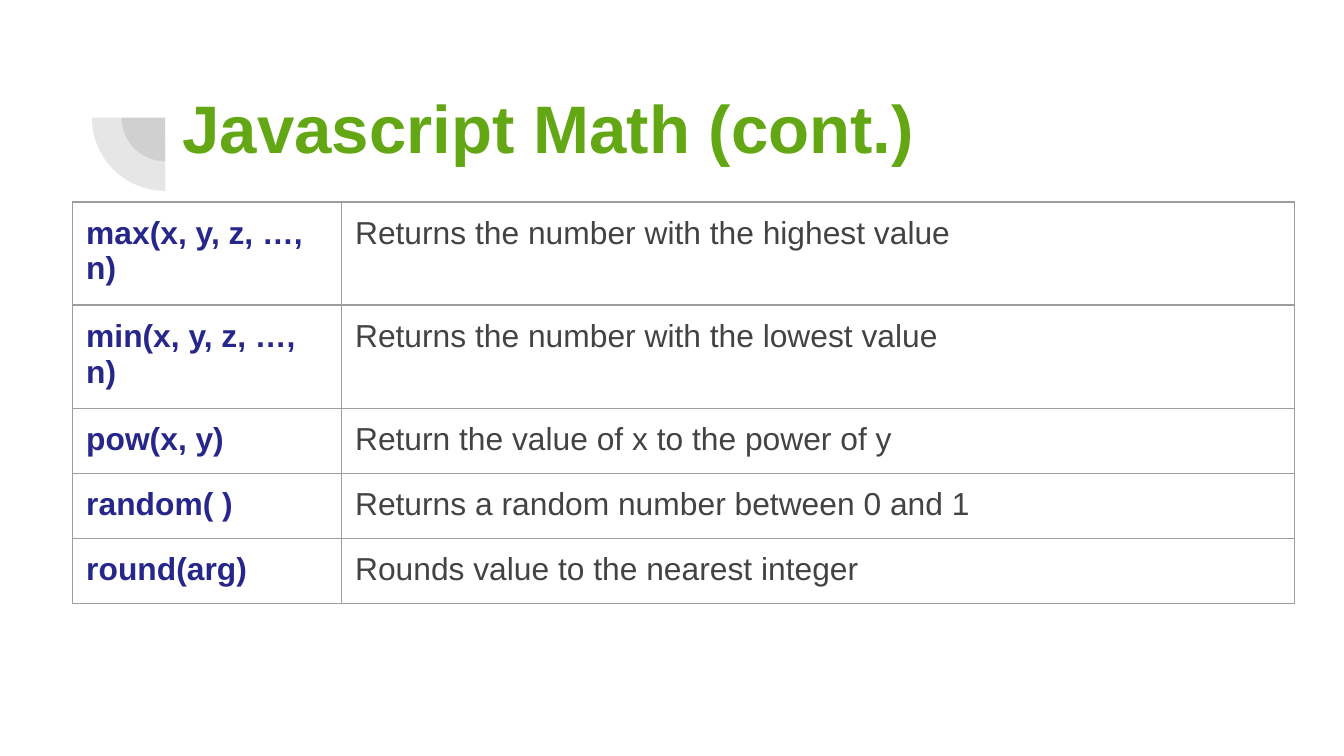
from typing import NamedTuple

from lxml import etree
from pptx import Presentation
from pptx.dml.color import RGBColor
from pptx.enum import shapes, text
from pptx.oxml import ns
from pptx.util import Pt

FONT = "Arial"
GREEN, NAVY, GREY, BORDER = "63A814", "27278B", "434343", "9E9E9E"
INSET = 7.2
COLUMN_WIDTHS = (144, 510.5)
SINGLE_LINE, DOUBLE_LINE = 33.4, 52.4


class Function(NamedTuple):
    signature: str
    description: str
    height: float = SINGLE_LINE


class Quarter(NamedTuple):
    center_x: float
    center_y: float
    diameter: float


FUNCTIONS = [
    Function("max(x, y, z, …, n)", "Returns the number with the highest value", DOUBLE_LINE),
    Function("min(x, y, z, …, n)", "Returns the number with the lowest value", DOUBLE_LINE),
    Function("pow(x, y)", "Return the value of x to the power of y"),
    Function("random( )", "Returns a random number between 0 and 1"),
    Function("round(arg)", "Rounds value to the nearest integer"),
]
QUARTERS = [Quarter(88.5, 63, 46.8), Quarter(88.5, 63, 78.5)]


def color(value: str) -> RGBColor:
    return RGBColor.from_string(value)


def style_text(paragraph, size: float, value: str, bold: bool) -> None:
    for run in paragraph.runs:
        run.font.name = FONT
        run.font.size = Pt(size)
        run.font.bold = bold
        run.font.color.rgb = color(value)


def draw_quarter(slide, quarter: Quarter) -> None:
    """Draw a translucent lower-left quarter circle."""
    radius = quarter.diameter / 2
    shape = slide.shapes.add_shape(
        shapes.MSO_SHAPE.PIE, Pt(quarter.center_x - radius), Pt(quarter.center_y - radius),
        Pt(quarter.diameter), Pt(quarter.diameter))
    shape.adjustments[0] = 107.93
    shape.adjustments[1] = 162
    shape.rotation = 270
    shape.shadow.inherit = False
    shape.fill.solid()
    shape.fill.fore_color.rgb = color("424242")
    shape.line.fill.background()
    fill_color = shape.element.spPr.find(ns.qn("a:solidFill")).find(ns.qn("a:srgbClr"))
    etree.SubElement(fill_color, ns.qn("a:alpha"), val="13000")


def draw_title(slide, title: str) -> None:
    box = slide.shapes.add_textbox(Pt(90.7), Pt(39), Pt(556.5), Pt(52.6))
    frame = box.text_frame
    frame.word_wrap = True
    frame.vertical_anchor = text.MSO_ANCHOR.TOP
    frame.margin_left = frame.margin_right = Pt(INSET)
    frame.margin_top = frame.margin_bottom = Pt(INSET)
    frame.text = title
    style_text(frame.paragraphs[0], 36, GREEN, True)


def add_borders(cell) -> None:
    properties = cell._tc.get_or_add_tcPr()
    for side in ("lnL", "lnR", "lnT", "lnB"):
        line = etree.SubElement(properties, ns.qn(f"a:{side}"), w=str(Pt(0.75)))
        fill = etree.SubElement(line, ns.qn("a:solidFill"))
        etree.SubElement(fill, ns.qn("a:srgbClr"), val=BORDER)


def fill_cell(cell, content: str, value: str, bold: bool) -> None:
    add_borders(cell)
    cell.fill.background()
    cell.margin_left = cell.margin_right = Pt(INSET)
    cell.margin_top = cell.margin_bottom = Pt(INSET)
    cell.text_frame.text = content
    style_text(cell.text_frame.paragraphs[0], 17, value, bold)


def draw_table(slide, functions: list[Function]) -> None:
    table = slide.shapes.add_table(
        len(functions), len(COLUMN_WIDTHS), Pt(39), Pt(108.2),
        Pt(sum(COLUMN_WIDTHS)), Pt(sum(function.height for function in functions))).table
    table.first_row = table.horz_banding = False
    for column, width in zip(table.columns, COLUMN_WIDTHS):
        column.width = Pt(width)
    for row, function in zip(table.rows, functions):
        row.height = Pt(function.height)
        fill_cell(row.cells[0], function.signature, NAVY, True)
        fill_cell(row.cells[1], function.description, GREY, False)


def main() -> None:
    presentation = Presentation()
    presentation.slide_width = Pt(720)
    presentation.slide_height = Pt(405)
    slide = presentation.slides.add_slide(presentation.slide_layouts[6])
    for quarter in QUARTERS:
        draw_quarter(slide, quarter)
    draw_title(slide, "Javascript Math (cont.)")
    draw_table(slide, FUNCTIONS)
    presentation.save("out.pptx")


if __name__ == "__main__":
    main()
